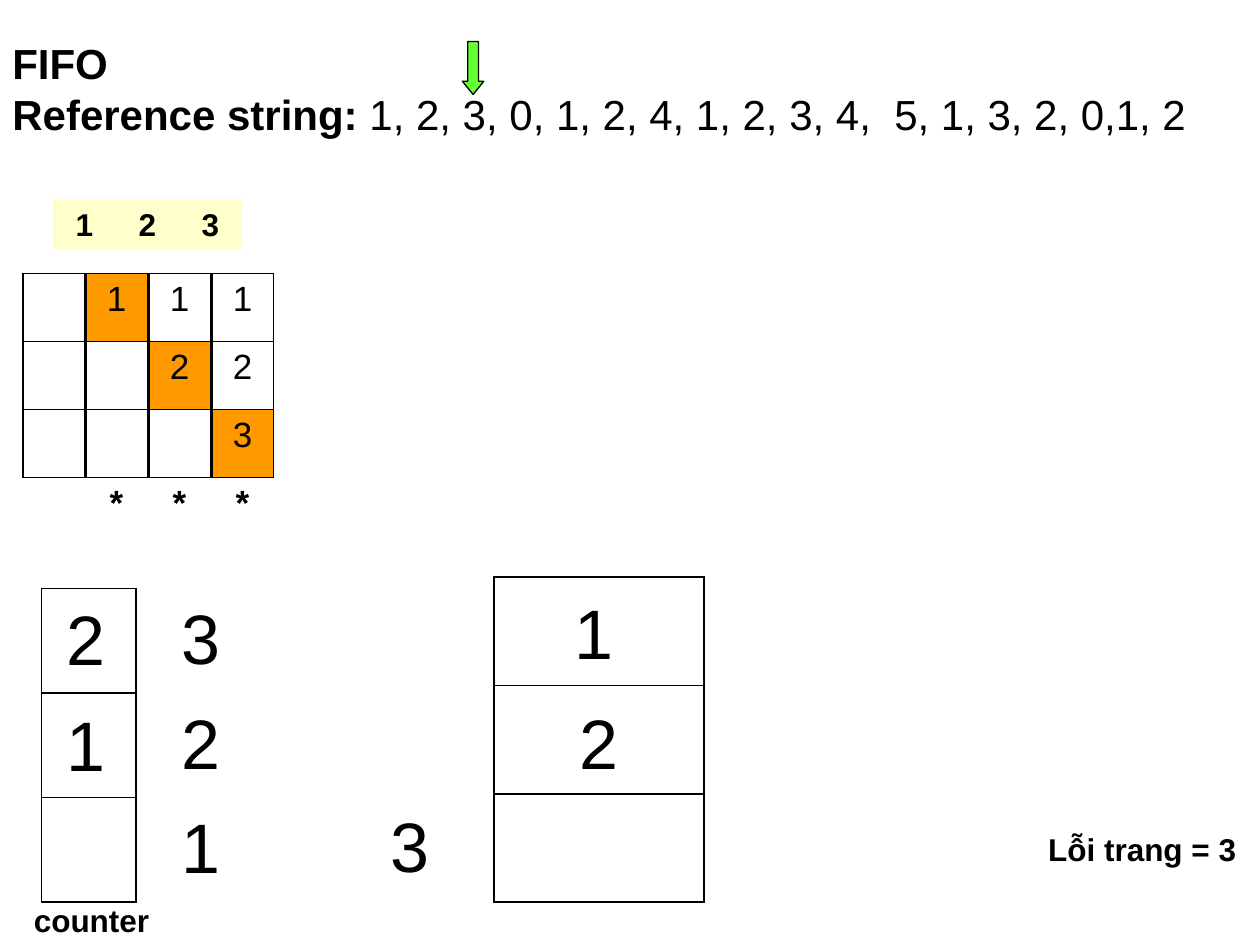
"""Build the FIFO page replacement slide with its frame tables and queue."""
from pptx import Presentation
from pptx.dml.color import RGBColor
from pptx.enum.shapes import MSO_SHAPE
from pptx.enum.text import MSO_ANCHOR, MSO_AUTO_SIZE, PP_ALIGN
from pptx.oxml import parse_xml
from pptx.oxml.ns import nsdecls
from pptx.util import Inches, Pt

BLACK = RGBColor(0x00, 0x00, 0x00)
CREAM = RGBColor(0xFF, 0xFF, 0xCC)
ORANGE = RGBColor(0xFF, 0x99, 0x00)
GREEN = RGBColor(0x66, 0xFF, 0x33)
FONT = "Arial"
NO_STYLE = "{2D5ABB26-0587-4C30-8999-92F81FD0307C}"
THICK, THIN = 1.08, 0.45

HEADING = [
    [("FIFO", True)],
    [("Reference string:", True),
     (" 1, 2, 3, 0, 1, 2, 4, 1, 2, 3, 4,  5, 1, 3, 2, 0,1, 2", False)],
]
STEPS = ["1", "2", "3"]
FRAME_COLUMNS = [
    (["", "", "", ""], None),
    (["1", "", "", "*"], 0),
    (["1", "2", "", "*"], 1),
    (["1", "2", "3", "*"], 2),
]
FRAME_LEFT, FRAME_TOP, FRAME_PITCH = 0.18, 2.17, 0.5
FRAME_WIDTH, FRAME_ROW = 0.49, 0.54
STEP_LEFT, STEP_TOP, STEP_WIDTH, STEP_HEIGHT = 0.42, 1.58, 0.5, 0.4
QUEUES = [(3.92, 4.58, 1.67, 0.86), (0.33, 4.67, 0.75, 0.83)]
CAPTIONS = [("Lỗi trang = 3", 8.22, 6.54, 1.72), ("counter", 0.17, 7.1, 1.14)]
DIGITS = [
    ("2", 0.43, 4.68), ("1", 0.43, 5.52),
    ("3", 1.34, 4.67), ("2", 1.34, 5.5), ("1", 1.34, 6.33),
    ("3", 3, 6.32),
    ("1", 4.46, 4.63), ("2", 4.5, 5.5),
]


def add_run(paragraph, text, size, bold=False):
    run = paragraph.add_run()
    run.text = text
    run.font.name = FONT
    run.font.size = Pt(size)
    run.font.bold = bold
    run.font.color.rgb = BLACK


def add_text(left, top, width, height, paragraphs, size, wrap=False):
    box = slide.shapes.add_textbox(
        Inches(left), Inches(top), Inches(width), Inches(height))
    frame = box.text_frame
    frame.word_wrap = wrap
    frame.auto_size = MSO_AUTO_SIZE.SHAPE_TO_FIT_TEXT
    for index, runs in enumerate(paragraphs):
        paragraph = frame.add_paragraph() if index else frame.paragraphs[0]
        for text, bold in runs:
            add_run(paragraph, text, size, bold)


def set_borders(cell, **widths):
    properties = cell._tc.get_or_add_tcPr()
    for index, side in enumerate("LRTB"):
        width = widths.get(side, 0)
        paint = ('<a:solidFill><a:srgbClr val="000000"/></a:solidFill>'
                 if width else "<a:noFill/>")
        properties.insert(index, parse_xml(
            f'<a:ln{side} {nsdecls("a")} w="{Pt(width)}">{paint}</a:ln{side}>'))


def add_column(left, top, width, row_height, rows):
    table = slide.shapes.add_table(
        rows, 1, Inches(left), Inches(top),
        Inches(width), Inches(row_height * rows)).table
    table.first_row = table.horz_banding = False
    table._tbl.tblPr.find("{*}tableStyleId").text = NO_STYLE
    table.columns[0].width = Inches(width)
    for row in table.rows:
        row.height = Inches(row_height)
        row.cells[0].fill.background()
    return [row.cells[0] for row in table.rows]


def add_frame_column(position, values, fault_row):
    cells = add_column(FRAME_LEFT + position * FRAME_PITCH, FRAME_TOP,
                       FRAME_WIDTH, FRAME_ROW, len(values))
    mark_row = len(values) - 1
    for row, (cell, value) in enumerate(zip(cells, values)):
        if row == mark_row:
            set_borders(cell, T=THICK)
        else:
            set_borders(cell, L=THICK, R=THICK, T=THIN if row else THICK,
                        B=THICK if row == mark_row - 1 else THIN)
        if row == fault_row:
            cell.fill.solid()
            cell.fill.fore_color.rgb = ORANGE
        if value:
            paragraph = cell.text_frame.paragraphs[0]
            paragraph.alignment = PP_ALIGN.CENTER
            paragraph.space_before = Pt(5)
            add_run(paragraph, value, 20, value == "*")


def add_step(position, label):
    step = slide.shapes.add_shape(
        MSO_SHAPE.RECTANGLE, Inches(STEP_LEFT + position * STEP_WIDTH),
        Inches(STEP_TOP), Inches(STEP_WIDTH), Inches(STEP_HEIGHT))
    step.shadow.inherit = False
    step.fill.solid()
    step.fill.fore_color.rgb = CREAM
    step.line.fill.background()
    frame = step.text_frame
    frame.word_wrap = True
    frame.auto_size = MSO_AUTO_SIZE.SHAPE_TO_FIT_TEXT
    frame.vertical_anchor = MSO_ANCHOR.TOP
    paragraph = frame.paragraphs[0]
    paragraph.alignment = PP_ALIGN.CENTER
    paragraph.space_before = Pt(11.2)
    add_run(paragraph, label, 18, True)


presentation = Presentation()
presentation.slide_width = Inches(10)
presentation.slide_height = Inches(7.5)
slide = presentation.slides.add_slide(presentation.slide_layouts[6])

add_text(0, 0.25, 10, 0.9, HEADING, 24, wrap=True)
for position, label in enumerate(STEPS):
    add_step(position, label)
for position, (values, fault_row) in enumerate(FRAME_COLUMNS):
    add_frame_column(position, values, fault_row)

for left, top, width, row_height in QUEUES:
    for cell in add_column(left, top, width, row_height, 3):
        set_borders(cell, L=THICK, R=THICK, T=THICK, B=THICK)

pointer = slide.shapes.add_shape(
    MSO_SHAPE.DOWN_ARROW, Inches(3.67), Inches(0.33), Inches(0.17), Inches(0.42))
pointer.shadow.inherit = False
pointer.adjustments[1] = 0.62
pointer.fill.solid()
pointer.fill.fore_color.rgb = GREEN
pointer.line.color.rgb = BLACK
pointer.line.width = Pt(0.74)

for text, left, top, width in CAPTIONS:
    add_text(left, top, width, 0.4, [[(text, True)]], 18)
for digit, left, top in DIGITS:
    add_text(left, top, 0.51, 0.77, [[(digit, False)]], 40)

presentation.save("out.pptx")
